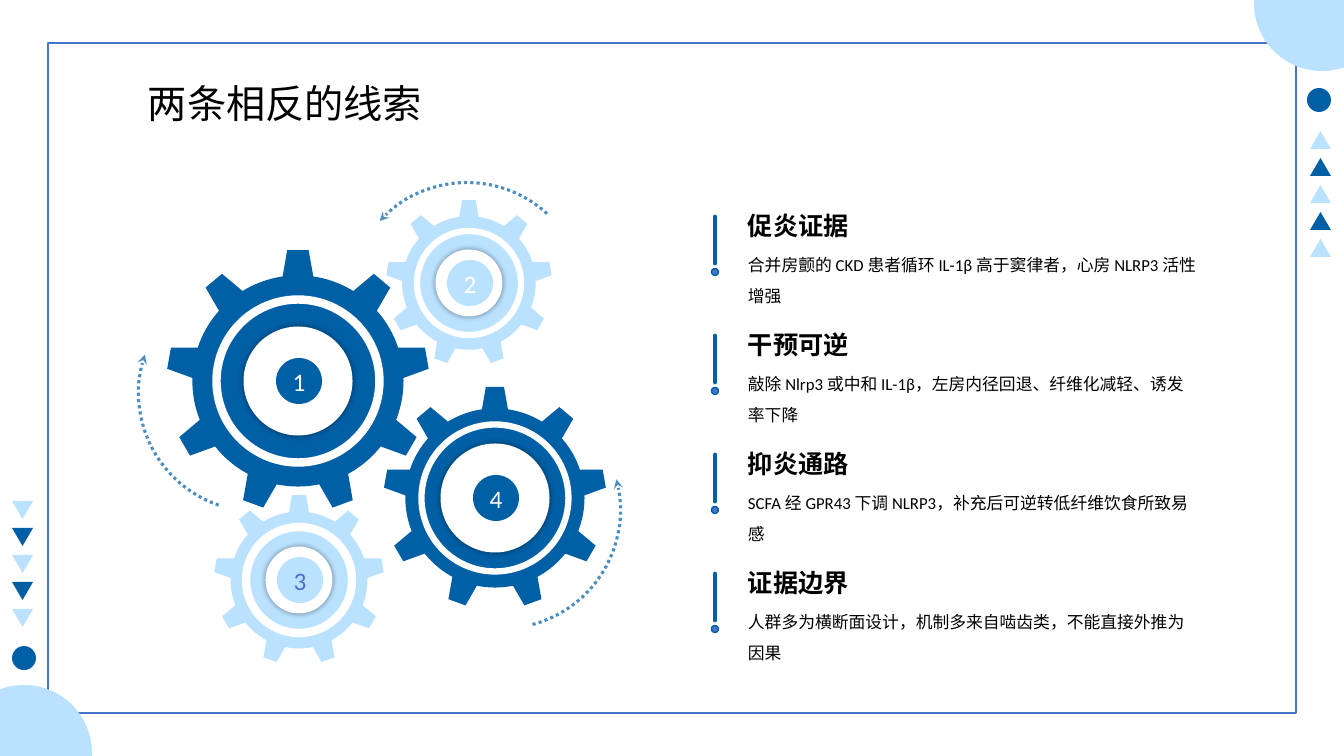
from math import asin, cos, pi, sin

from lxml.etree import SubElement
from pptx import Presentation
from pptx.dml.color import RGBColor
from pptx.enum.dml import MSO_LINE
from pptx.enum.shapes import MSO_CONNECTOR, MSO_SHAPE
from pptx.enum.text import MSO_ANCHOR, MSO_AUTO_SIZE, PP_ALIGN
from pptx.oxml.ns import qn
from pptx.util import Pt

EMU_PER_PX = 9071.43
SLIDE_W, SLIDE_H = 1344, 756
FONT = "Calibri"

NAVY = RGBColor(0x00, 0x5F, 0xA5)
SKY = RGBColor(0xBA, 0xE2, 0xFF)
ACCENT = RGBColor(0x48, 0x74, 0xCB)
WHITE = RGBColor(0xFF, 0xFF, 0xFF)
BLACK = RGBColor(0x00, 0x00, 0x00)

TITLE = "两条相反的线索"
FINDINGS = [
    ("促炎证据", "合并房颤的 CKD 患者循环 IL-1β 高于窦律者，心房 NLRP3 活性增强"),
    ("干预可逆", "敲除 Nlrp3 或中和 IL-1β，左房内径回退、纤维化减轻、诱发率下降"),
    ("抑炎通路", "SCFA 经 GPR43 下调 NLRP3，补充后可逆转低纤维饮食所致易感"),
    ("证据边界", "人群多为横断面设计，机制多来自啮齿类，不能直接外推为因果"),
]

# Number, centre x, centre y, gear, ring and hub diameters, ring width, colour, number colour
GEARS = [
    ("1", 298, 381, 264, 163, 109, 6, NAVY, WHITE),
    ("4", 495, 498, 224, 147, 109, 4.5, NAVY, WHITE),
    ("3", 299, 580, 171, 106, 67, 6, SKY, ACCENT),
    ("2", 469, 283, 167, 104, 67, 4.5, SKY, WHITE),
]
# Centre x, centre y, rotation, mirrored
TURN_ARROWS = [(467, 301, 42.5, True), (257, 393, 198.9, False), (502, 510, 165, True)]


def px(length):
    return round(length * EMU_PER_PX)


def add_figure(slide, kind, x, y, w, h, fill=None, line=None, line_pt=1):
    figure = slide.shapes.add_shape(kind, px(x), px(y), px(w), px(h))
    figure.shadow.inherit = False
    paint(figure, fill, line, line_pt)
    return figure


def paint(figure, fill, line=None, line_pt=1):
    if fill is None:
        figure.fill.background()
    else:
        figure.fill.solid()
        figure.fill.fore_color.rgb = fill
    if line is None:
        figure.line.fill.background()
    else:
        figure.line.color.rgb = line
        figure.line.width = Pt(line_pt)


def add_disc(slide, centre_x, centre_y, size, fill, line=None, line_pt=1):
    return add_figure(slide, MSO_SHAPE.OVAL, centre_x - size / 2, centre_y - size / 2,
                      size, size, fill, line, line_pt)


def write(frame, text, size, color=BLACK, bold=False, align=PP_ALIGN.LEFT,
          spacing=1.0, insets=(0, 0)):
    frame.word_wrap = True
    frame.margin_left = frame.margin_right = px(insets[0])
    frame.margin_top = frame.margin_bottom = px(insets[1])
    paragraph = frame.paragraphs[0]
    paragraph.text = text
    paragraph.alignment = align
    paragraph.line_spacing = spacing
    font = paragraph.font
    font.name, font.size, font.bold = FONT, Pt(size), bold
    font.color.rgb = color


def add_text(slide, x, y, w, h, text, size, **style):
    frame = slide.shapes.add_textbox(px(x), px(y), px(w), px(h)).text_frame
    write(frame, text, size, **style)
    frame.auto_size = MSO_AUTO_SIZE.SHAPE_TO_FIT_TEXT


def add_title(slide, x, y, w, h):
    title = slide.shapes.title
    title.left, title.top, title.width, title.height = px(x), px(y), px(w), px(h)
    write(title.text_frame, TITLE, 28)
    title.text_frame.vertical_anchor = MSO_ANCHOR.TOP
    title.text_frame.auto_size = MSO_AUTO_SIZE.NONE


def add_corner(slide, x, y, w, h, turned=False):
    """Part of a disc filling the box, cut off at the slide corner."""
    radius, centre_x, centre_y = 68, 68, 3
    start = pi / 2 - asin((w - centre_x) / radius)
    steps = 60
    points = [(0, 0), (w, 0)]
    for step in range(steps + 1):
        angle = start + (pi - start) * step / steps
        points.append((centre_x + radius * cos(angle), centre_y + radius * sin(angle)))
    if turned:
        points = [(w - a, h - b) for a, b in points]
    outline = [(px(x + a), px(y + b)) for a, b in points]
    builder = slide.shapes.build_freeform(*outline[0])
    builder.add_line_segments(outline[1:], close=True)
    corner = builder.convert_to_shape()
    corner.shadow.inherit = False
    paint(corner, SKY)


def add_marker_column(slide, x, y, w, h, turned=False):
    """A disc followed by five triangles, or the same turned upside down."""
    def place(kind, left, top, width, height, fill):
        if turned:
            left, top = w - left - width, h - top - height
        marker = add_figure(slide, kind, x + left, y + top, width, height, fill)
        marker.rotation = 180 if turned else 0

    place(MSO_SHAPE.OVAL, 0, 0, 24, 24, NAVY)
    for index in range(5):
        place(MSO_SHAPE.ISOSCELES_TRIANGLE, 3, 43 + 27 * index, 21, 18,
              NAVY if index % 2 else SKY)


def add_soft_shadow(figure):
    effects = figure._element.spPr.find(qn("a:effectLst"))
    shadow = SubElement(effects, qn("a:outerShdw"), blurRad=str(Pt(4)), dist="0",
                        dir="5400000", algn="ctr", rotWithShape="0")
    color = SubElement(shadow, qn("a:srgbClr"), val="000000")
    SubElement(color, qn("a:alpha"), val="37000")


def add_gear(slide, number, x, y, gear, ring, hub, ring_pt, fill, number_color):
    add_figure(slide, MSO_SHAPE.GEAR_9, x - gear / 2, y - gear / 2, gear, gear, fill)
    add_disc(slide, x, y, ring, fill, WHITE, ring_pt)
    add_soft_shadow(add_disc(slide, x, y, hub, WHITE))
    badge = add_disc(slide, x + 1, y, 46, fill)
    write(badge.text_frame, number, 18, number_color, align=PP_ALIGN.CENTER)
    badge.text_frame.vertical_anchor = MSO_ANCHOR.MIDDLE


def add_turn_arrow(slide, x, y, rotation, mirrored):
    size = 237
    arrow = add_figure(slide, MSO_SHAPE.ARC, x - size / 2, y - size / 2, size, size,
                       line=NAVY, line_pt=2.25)
    arrow.rotation = rotation
    arrow.line.dash_style = MSO_LINE.ROUND_DOT
    properties = arrow._element.spPr
    if mirrored:
        properties.find(qn("a:xfrm")).set("flipH", "1")
    outline = properties.find(qn("a:ln"))
    SubElement(outline.find(".//" + qn("a:srgbClr")), qn("a:alpha"), val="70000")
    SubElement(outline, qn("a:tailEnd"), type="stealth")


def add_finding(slide, x, y, heading, detail):
    # Bar and dot
    bar = slide.shapes.add_connector(MSO_CONNECTOR.STRAIGHT, px(x + 4), px(y + 12),
                                     px(x + 4), px(y + 58))
    bar.line.color.rgb = NAVY
    bar.line.width = Pt(3.5)
    properties = bar._element.spPr
    properties.find(qn("a:ln")).set("cap", "rnd")
    SubElement(properties, qn("a:effectLst"))
    add_disc(slide, x + 4, y + 67, 7, ACCENT, NAVY)
    # Heading and detail
    add_text(slide, x + 30, y + 37, 465, 65, detail, 12, spacing=1.5, insets=(7, 3))
    add_text(slide, x + 27, y, 221, 40, heading, 18, bold=True, insets=(10, 5))


def build_slide(deck):
    slide = deck.slides.add_slide(deck.slide_layouts[5])
    # Frame and corner decoration
    add_figure(slide, MSO_SHAPE.RECTANGLE, 48, 43, 1248, 670, line=ACCENT)
    add_corner(slide, 1254, 0, 92, 71)
    add_marker_column(slide, 1307, 88, 24, 169)
    add_corner(slide, 0, 685, 92, 71, turned=True)
    add_marker_column(slide, 12, 501, 24, 169, turned=True)
    # Findings
    for index, (heading, detail) in enumerate(FINDINGS):
        add_finding(slide, 711, 205 + 119 * index, heading, detail)
    # Gears
    for gear in GEARS:
        add_gear(slide, *gear)
    for arrow in TURN_ARROWS:
        add_turn_arrow(slide, *arrow)
    add_title(slide, 148, 79, 363, 47)


def main():
    deck = Presentation()
    deck.slide_width, deck.slide_height = px(SLIDE_W), px(SLIDE_H)
    build_slide(deck)
    deck.save("out.pptx")


if __name__ == "__main__":
    main()
